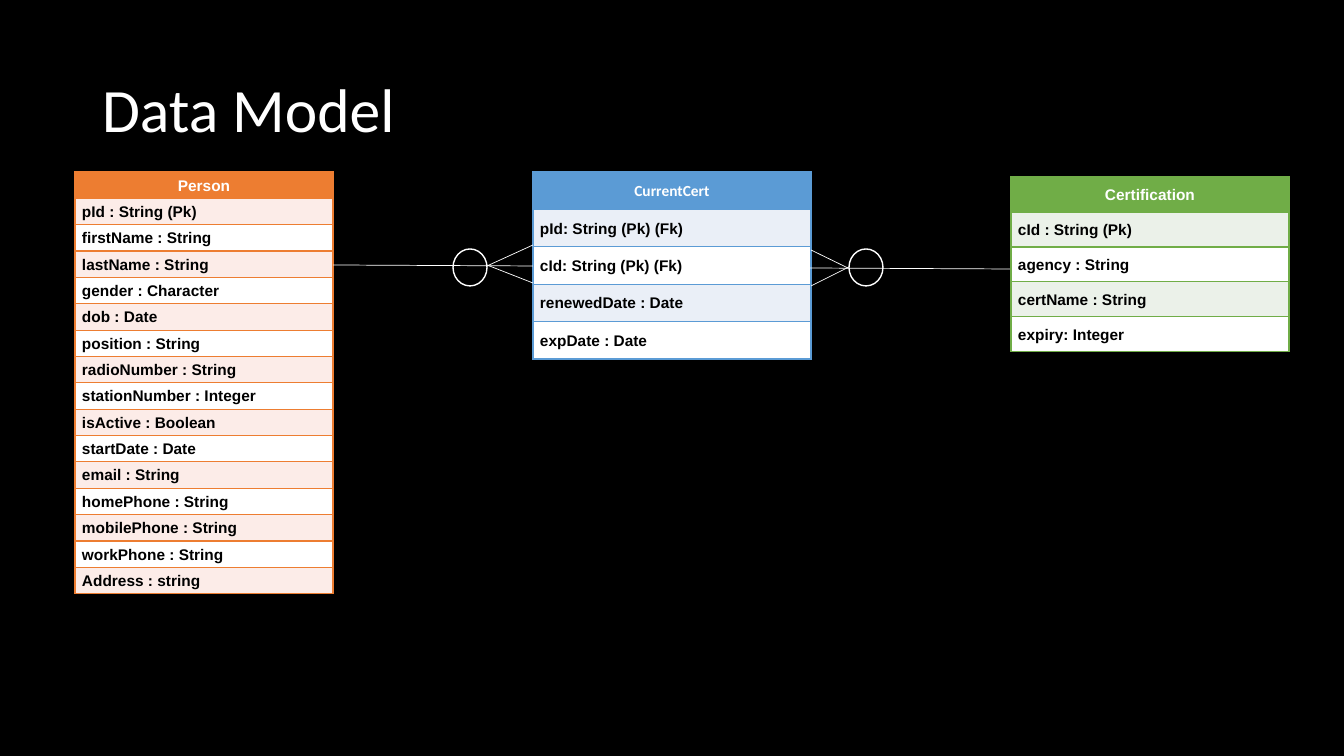
from dataclasses import dataclass

from lxml import etree
from pptx import Presentation
from pptx import util as u
from pptx.dml.color import RGBColor
from pptx.enum import shapes, text
from pptx.oxml import ns

SCALE = 914400 / 100.8


def px(length):
    return u.Emu(round(length * SCALE))


def rgb(code):
    return RGBColor.from_string(code)


@dataclass(frozen=True)
class Theme:
    background: str = "000000"
    light: str = "FFFFFF"
    ink: str = "000000"
    orange: tuple = ("ED7D31", "FCECE8")
    blue: tuple = ("5B9BD5", "EAEFF7")
    green: tuple = ("70AD47", "EBF1E9")
    title_font: str = "Calibri"
    table_font: str = "Arial"
    title_size: int = 44
    table_size: int = 11
    outline: float = 1
    hairline: float = 0.5


class ModelSlide:
    def __init__(self, deck, theme):
        self.theme = theme
        self.slide = deck.slides.add_slide(deck.slide_layouts[5])
        fill = self.slide.background.fill
        fill.solid()
        fill.fore_color.rgb = rgb(theme.background)

    def style(self, paragraph, font, size, color, bold, spacing, align):
        paragraph.alignment = align
        paragraph.line_spacing = spacing
        for run in paragraph.runs:
            run.font.name = font
            run.font.size = u.Pt(size)
            run.font.bold = bold
            run.font.color.rgb = rgb(color)

    def title(self, words, left, top, width, height):
        heading = self.slide.shapes.title
        heading.left, heading.top = px(left), px(top)
        heading.width, heading.height = px(width), px(height)
        frame = heading.text_frame
        frame.text = words
        frame.vertical_anchor = text.MSO_ANCHOR.MIDDLE
        self.style(frame.paragraphs[0], self.theme.title_font, self.theme.title_size,
                   self.theme.light, False, 0.9, text.PP_ALIGN.LEFT)

    def border(self, cell, color):
        properties = cell._tc.get_or_add_tcPr()
        for position, side in enumerate(("lnL", "lnR", "lnT", "lnB")):
            edge = etree.Element(ns.qn(f"a:{side}"), w=str(u.Pt(self.theme.outline)))
            solid = etree.SubElement(edge, ns.qn("a:solidFill"))
            etree.SubElement(solid, ns.qn("a:srgbClr"), val=color)
            properties.insert(position, edge)

    def entity(self, name, fields, palette, left, top, width, height, name_font=None):
        theme = self.theme
        accent, tint = palette
        rows = [name, *fields]
        table = self.slide.shapes.add_table(
            len(rows), 1, px(left), px(top), px(width), px(height)).table
        table.horz_banding = False
        for index, words in enumerate(rows):
            header = index == 0
            table.rows[index].height = px(height / len(rows))
            cell = table.cell(index, 0)
            cell.text_frame.text = words
            cell.vertical_anchor = text.MSO_ANCHOR.MIDDLE
            cell.margin_left = cell.margin_right = px(7)
            cell.margin_top = cell.margin_bottom = 0
            cell.fill.solid()
            cell.fill.fore_color.rgb = rgb(
                accent if header else tint if index % 2 else theme.light)
            self.border(cell, accent)
            self.style(cell.text_frame.paragraphs[0],
                       header and name_font or theme.table_font, theme.table_size,
                       theme.light if header else theme.ink, True, 1.07,
                       text.PP_ALIGN.CENTER if header else text.PP_ALIGN.LEFT)

    def line(self, x1, y1, x2, y2):
        link = self.slide.shapes.add_connector(
            shapes.MSO_CONNECTOR.STRAIGHT, px(x1), px(y1), px(x2), px(y2))
        link.line.color.rgb = rgb(self.theme.light)
        link.line.width = u.Pt(self.theme.hairline)
        etree.SubElement(link._element.spPr, ns.qn("a:effectLst"))

    def ring(self, left, top, width, height):
        oval = self.slide.shapes.add_shape(
            shapes.MSO_SHAPE.OVAL, px(left), px(top), px(width), px(height))
        oval.shadow.inherit = False
        oval.fill.background()
        oval.line.color.rgb = rgb(self.theme.light)
        oval.line.width = u.Pt(self.theme.outline)

    def relation(self, strands, ring_left):
        for strand in strands:
            self.line(*strand)
        self.ring(ring_left, 249, 34, 37)


deck = Presentation()
deck.slide_width, deck.slide_height = px(1344), px(756)
theme = Theme()
model = ModelSlide(deck, theme)

model.title("Data Model", 92, 40, 1159, 146)

current_cert = ["pId: String (Pk) (Fk)", "cId: String (Pk) (Fk)",
                "renewedDate : Date", "expDate : Date"]
person = ["pId : String (Pk)", "firstName : String", "lastName : String",
          "gender : Character", "dob : Date", "position : String",
          "radioNumber : String", "stationNumber : Integer", "isActive : Boolean",
          "startDate : Date", "email : String", "homePhone : String",
          "mobilePhone : String", "workPhone : String", "Address : string"]
certification = ["cId : String (Pk)", "agency : String",
                 "certName : String", "expiry: Integer"]

model.entity("CurrentCert", current_cert, theme.blue, 533, 172, 278, 187, theme.title_font)
model.entity("Person", person, theme.orange, 75, 172, 258, 422)
model.entity("Certification", certification, theme.green, 1011, 177, 278, 175)

person_strands = [(333, 265, 533, 266), (487, 266, 533, 245), (487, 265, 533, 283)]
certification_strands = [(809, 268, 1010, 269), (848, 268, 811, 250), (849, 267, 811, 286)]
model.relation(person_strands, 453)
model.relation(certification_strands, 849)

deck.save("out.pptx")
